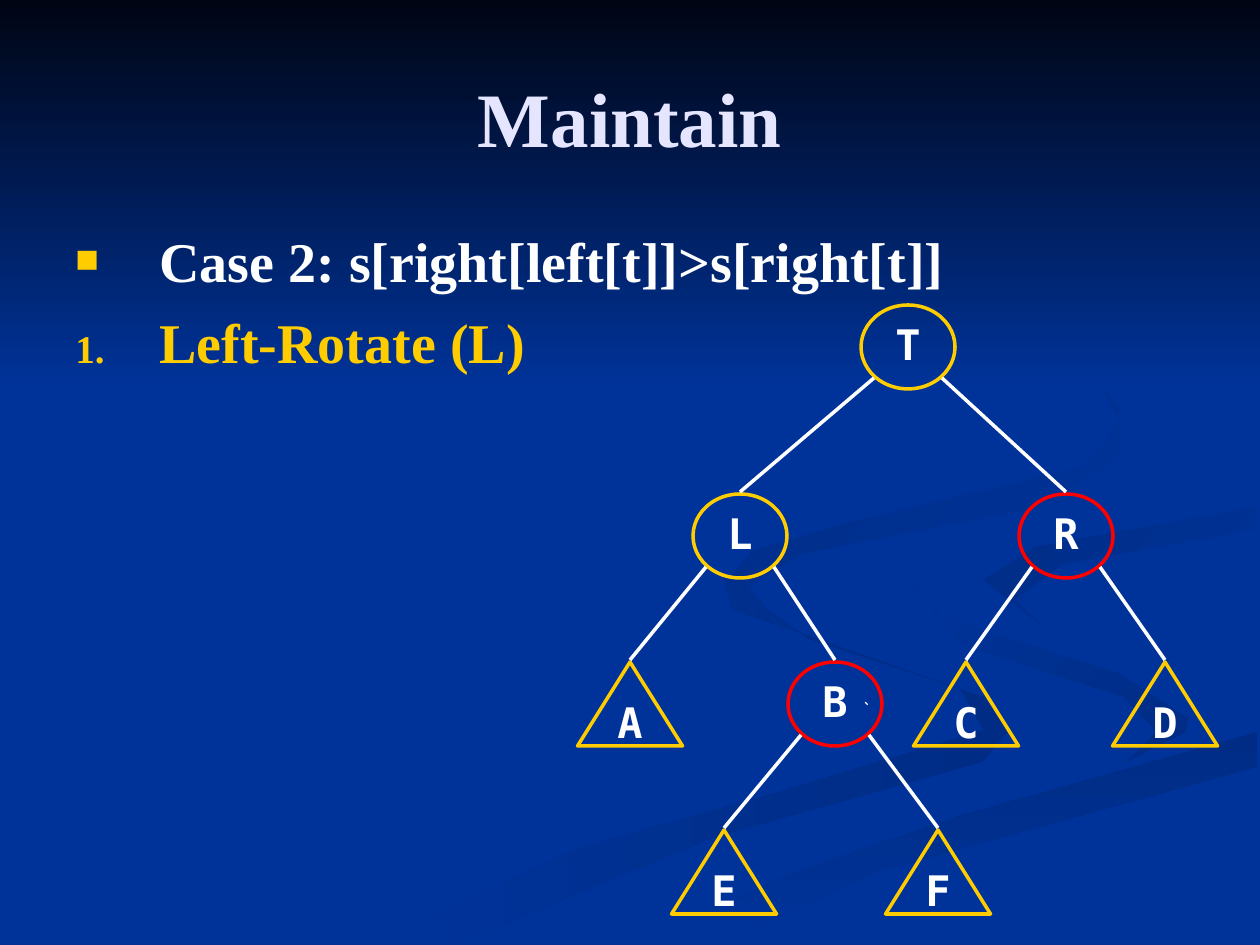
import pptx
import pptx.dml.color
import pptx.enum.shapes
import pptx.enum.text
import pptx.oxml
import pptx.oxml.ns
import pptx.util
from dataclasses import dataclass


@dataclass(frozen=True)
class Theme:
    blue: str = "003399"
    shade: str = "002C85"
    night: str = "000514"
    title: str = "E5E5FF"
    white: str = "FFFFFF"
    gold: str = "FFCC00"
    red: str = "FF0000"
    serif: str = "Times New Roman"
    mono: str = "DejaVu Sans Mono"
    title_pt: int = 44
    body_pt: int = 32
    node_pt: int = 24
    line_pt: int = 2


th = Theme()
PX = 914400 / 126
rgb = pptx.dml.color.RGBColor.from_string
MSO = pptx.enum.shapes.MSO_SHAPE
PP = pptx.enum.text.PP_ALIGN
MIDDLE = pptx.enum.text.MSO_ANCHOR.MIDDLE


def emu(*lengths):
    return [round(v * PX) for v in lengths]


def add_run(p, text, size, font, color):
    r = p.add_run()
    r.text = text
    r.font.size = pptx.util.Pt(size)
    r.font.name = font
    r.font.bold = True
    r.font.color.rgb = rgb(color)


prs = pptx.Presentation()
prs.slide_width, prs.slide_height = emu(1260, 945)
s = prs.slides.add_slide(prs.slide_layouts[6])
s.background.fill.solid()
s.background.fill.fore_color.rgb = rgb(th.blue)

ribbons = [
    (th.shade, th.blue, 180, [
        (984, 697), (809, 639), (724, 578), (732, 609), (960, 689), (983, 730),
        (776, 793), (577, 849), (378, 944), (455, 944), (711, 838), (983, 762), (1008, 732)]),
    (th.shade, th.blue, 135, [
        (1188, 718), (1119, 674), (939, 617), (912, 585), (965, 645), (1124, 697),
        (1157, 732), (1126, 762), (1186, 732)]),
    (th.shade, th.blue, 270, [
        (634, 944), (719, 944), (876, 872), (1257, 767), (1257, 732), (963, 815), (794, 873)]),
    (th.blue, th.shade, 135, [
        (984, 580), (1041, 625), (1014, 600), (1062, 564), (1257, 529), (1257, 507), (1036, 547)]),
    (th.blue, th.shade, 135, [
        (861, 542), (1040, 507), (1120, 456), (1121, 408), (1062, 347), (960, 294),
        (1096, 377), (1120, 422), (1085, 466), (852, 522), (752, 551), (727, 582),
        (784, 630), (748, 586), (800, 554)]),
]
backdrop = []
for start, end, angle, points in ribbons:
    fb = s.shapes.build_freeform(*points[0], scale=PX)
    fb.add_line_segments(points[1:], close=True)
    backdrop.append((fb.convert_to_shape(), start, end, angle))
sky = s.shapes.add_shape(MSO.RECTANGLE, *emu(0, 0, 1260, 388))
backdrop.append((sky, th.night, th.blue, 270))
for sp, start, end, angle in backdrop:
    sp.shadow.inherit = False
    sp.line.fill.background()
    sp.fill.gradient()
    sp.fill.gradient_angle = angle
    for stop, color in zip(sp.fill.gradient_stops, (start, end)):
        stop.color.rgb = rgb(color)

tf = s.shapes.add_textbox(*emu(63, 38, 1134, 157)).text_frame
tf.word_wrap = True
tf.vertical_anchor = MIDDLE
p = tf.paragraphs[0]
p.alignment = PP.CENTER
add_run(p, "Maintain", th.title_pt, th.serif, th.title)

tf = s.shapes.add_textbox(*emu(63, 220, 1134, 624)).text_frame
tf.word_wrap = True
items = [
    ("Case 2: s[right[left[t]]>s[right[t]]", th.white, '<a:buChar {} char="■"/>'),
    ("Left-Rotate (L)", th.gold, '<a:buAutoNum {} type="arabicPeriod"/>'),
]
ns = pptx.oxml.ns.nsdecls("a")
indent = emu(84)[0]
for i, (text, color, bullet) in enumerate(items):
    p = tf.add_paragraph() if i else tf.paragraphs[0]
    p.space_before = pptx.util.Pt(8)
    pPr = p._p.get_or_add_pPr()
    pPr.set("marL", str(indent))
    pPr.set("indent", str(-indent))
    for xml in (f'<a:buClr {ns}><a:srgbClr val="{th.gold}"/></a:buClr>',
                f'<a:buSzPct {ns} val="70000"/>',
                f'<a:buFont {ns} typeface="{th.serif}"/>',
                bullet.format(ns)):
        pPr.append(pptx.oxml.parse_xml(xml))
    add_run(p, text, th.body_pt, th.serif, color)

NODE_W, LEAF_W, NODE_H = 94, 105, 84
rows = [305, 494, 662, 830]
centers = {"T": (908, 0), "L": (740, 1), "R": (1066, 1), "A": (630, 2), "B": (835, 2),
           "C": (966, 2), "D": (1165, 2), "E": (724, 3), "F": (938, 3)}
children = {"T": "LR", "L": "AB", "R": "CD", "B": "EF"}

for name, (cx, row) in centers.items():
    inner = name in children
    w = NODE_W if inner else LEAF_W
    kind = MSO.OVAL if inner else MSO.ISOSCELES_TRIANGLE
    sp = s.shapes.add_shape(kind, *emu(cx - w / 2, rows[row], w, NODE_H))
    sp.shadow.inherit = False
    sp.fill.background()
    sp.line.color.rgb = rgb(th.red if name in "RB" else th.gold)
    sp.line.width = pptx.util.Pt(th.line_pt)
    tf = sp.text_frame
    tf.word_wrap = False
    tf.vertical_anchor = MIDDLE
    p = tf.paragraphs[0]
    p.alignment = PP.CENTER
    p.line_spacing = 0.9
    p.space_before = pptx.util.Pt(6)
    add_run(p, name, th.node_pt, th.mono, th.white)

lines = [(866, 704, 867, 703)]
for parent, pair in children.items():
    cx, row = centers[parent]
    for side, child in zip((-1, 1), pair):
        child_x, child_row = centers[child]
        lines.append((cx + side * 34, rows[row] + 73, child_x, rows[child_row] - 2))
for ends in lines:
    cn = s.shapes.add_connector(pptx.enum.shapes.MSO_CONNECTOR.STRAIGHT, *emu(*ends))
    cn.line.color.rgb = rgb(th.white)
    cn.line.width = pptx.util.Pt(th.line_pt)
    cn._element.spPr.append(pptx.oxml.parse_xml(f"<a:effectLst {ns}/>"))

prs.save("out.pptx")
